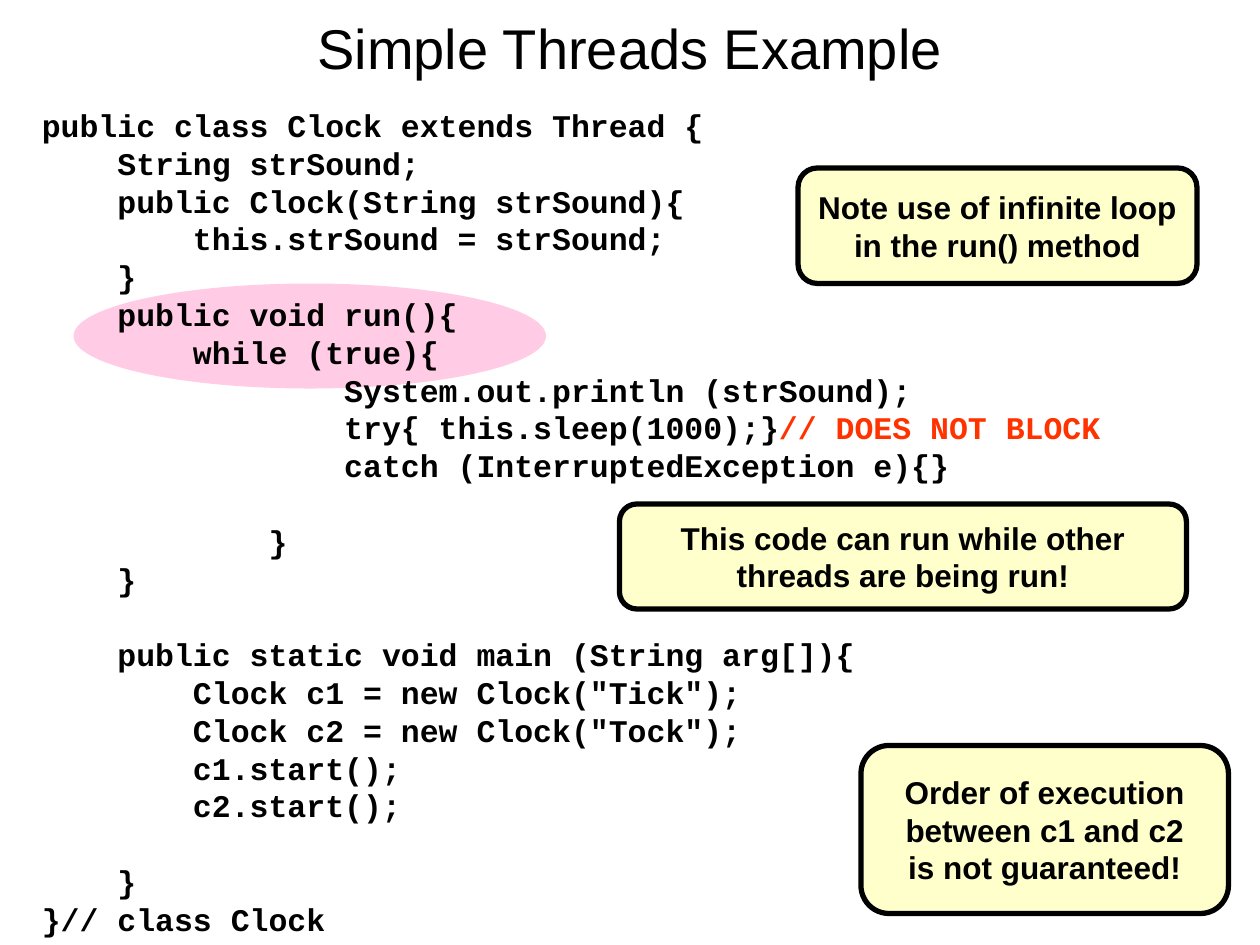
"""Build the "Simple Threads Example" slide on a grid of 120 columns by 90 rows."""
from dataclasses import dataclass

import lxml.etree
import pptx
import pptx.dml.color
import pptx.enum.shapes
import pptx.enum.text
import pptx.oxml.ns
import pptx.util

SHAPES = pptx.enum.shapes.MSO_SHAPE
ALIGN = pptx.enum.text.PP_ALIGN
ANCHOR = pptx.enum.text.MSO_ANCHOR


@dataclass(frozen=True)
class Theme:
    """Colours, fonts and sizes of the slide."""
    ink: str = "000000"
    comment: str = "FF3300"
    highlight: str = "FF99CC"
    note: str = "FFFF99"
    sans: str = "Arial"
    mono: str = "Courier New"
    title_size: int = 32
    body_size: int = 18
    line_pitch: float = 21.6
    border: int = 3
    opacity: int = 50


THEME = Theme()
CELL = pptx.util.Inches(10) // 120

CODE = """public class Clock extends Thread {
    String strSound;
    public Clock(String strSound){
        this.strSound = strSound;
    }
    public void run(){
        while (true){
                System.out.println (strSound);
                try{ this.sleep(1000);}// DOES NOT BLOCK
                catch (InterruptedException e){}

            }
    }

    public static void main (String arg[]){
        Clock c1 = new Clock("Tick");
        Clock c2 = new Clock("Tock");
        c1.start();
        c2.start();

    }
}// class Clock"""
WARNING = "// DOES NOT BLOCK"

CALLOUTS = [
    ((82, 71, 35, 16), ["Order of execution", "between c1 and c2", "is not guaranteed!"]),
    ((76, 16, 38, 11), ["Note use of infinite loop", "in the run() method"]),
    ((59, 48, 54, 10), ["This code can run while other", "threads are being run!"]),
]


def place(area):
    """Turn columns and rows into slide lengths."""
    return [round(cells * CELL) for cells in area]


def rgb(colour):
    """Return the colour object for a hex value."""
    return pptx.dml.color.RGBColor.from_string(colour)


def apply_format(target, values):
    """Set every attribute named in a dict of format values."""
    for name, value in values.items():
        setattr(target, name, value)


def add_run(paragraph, text, font, size, bold=True, colour=THEME.ink):
    """Append a formatted run to a paragraph."""
    run = paragraph.add_run()
    run.text = text
    apply_format(run.font, {"name": font, "size": pptx.util.Pt(size), "bold": bold})
    run.font.color.rgb = rgb(colour)


def next_paragraph(frame, index):
    """Return the first paragraph of a frame or add another."""
    return frame.add_paragraph() if index else frame.paragraphs[0]


def add_tinted_shape(slide, kind, area, colour):
    """Add a half-transparent shape without shadow or outline."""
    shape = slide.shapes.add_shape(kind, *place(area))
    shape.shadow.inherit = False
    shape.fill.solid()
    shape.fill.fore_color.rgb = rgb(colour)
    tint = shape.fill._xPr.find(".//" + pptx.oxml.ns.qn("a:srgbClr"))
    alpha = lxml.etree.SubElement(tint, pptx.oxml.ns.qn("a:alpha"))
    alpha.set("val", str(THEME.opacity * 1000))
    shape.line.fill.background()
    return shape


def add_title(slide, area, text):
    """Add the centred slide title."""
    frame = slide.shapes.add_textbox(*place(area)).text_frame
    apply_format(frame, {"word_wrap": True, "vertical_anchor": ANCHOR.MIDDLE})
    frame.paragraphs[0].alignment = ALIGN.CENTER
    add_run(frame.paragraphs[0], text, THEME.sans, THEME.title_size, bold=False)


def add_code(slide, area, code):
    """Add the listing, giving a line after a gap extra space before it."""
    frame = slide.shapes.add_textbox(*place(area)).text_frame
    frame.word_wrap = False
    pitch = pptx.util.Pt(THEME.line_pitch)
    lines = code.split("\n")
    for index, line in enumerate(lines):
        if not line:
            continue
        after_gap = index > 0 and not lines[index - 1]
        paragraph = next_paragraph(frame, index)
        apply_format(paragraph, {"line_spacing": pitch, "space_before": pitch if after_gap else 0})
        statement, warning, _ = line.partition(WARNING)
        add_run(paragraph, statement, THEME.mono, THEME.body_size)
        if warning:
            add_run(paragraph, warning, THEME.mono, THEME.body_size, colour=THEME.comment)


def add_callout(slide, area, lines):
    """Add a rounded note with centred lines."""
    note = add_tinted_shape(slide, SHAPES.ROUNDED_RECTANGLE, area, THEME.note)
    note.line.color.rgb = rgb(THEME.ink)
    note.line.width = pptx.util.Pt(THEME.border)
    apply_format(note.text_frame, {"word_wrap": False, "vertical_anchor": ANCHOR.MIDDLE})
    for index, line in enumerate(lines):
        paragraph = next_paragraph(note.text_frame, index)
        apply_format(paragraph, {"alignment": ALIGN.CENTER,
                                 "line_spacing": pptx.util.Pt(THEME.line_pitch)})
        add_run(paragraph, line, THEME.sans, THEME.body_size)


def main():
    """Build and save the slide."""
    deck = pptx.Presentation()
    apply_format(deck, {"slide_width": 120 * CELL, "slide_height": 90 * CELL})
    slide = deck.slides.add_slide(deck.slide_layouts[6])
    add_tinted_shape(slide, SHAPES.OVAL, (7, 27, 45, 10), THEME.highlight)
    add_title(slide, (9, -3, 102, 15), "Simple Threads Example")
    add_code(slide, (2.8, 9.5, 103.2, 80.4), CODE)
    for area, lines in CALLOUTS:
        add_callout(slide, area, lines)
    deck.save("out.pptx")


if __name__ == "__main__":
    main()
